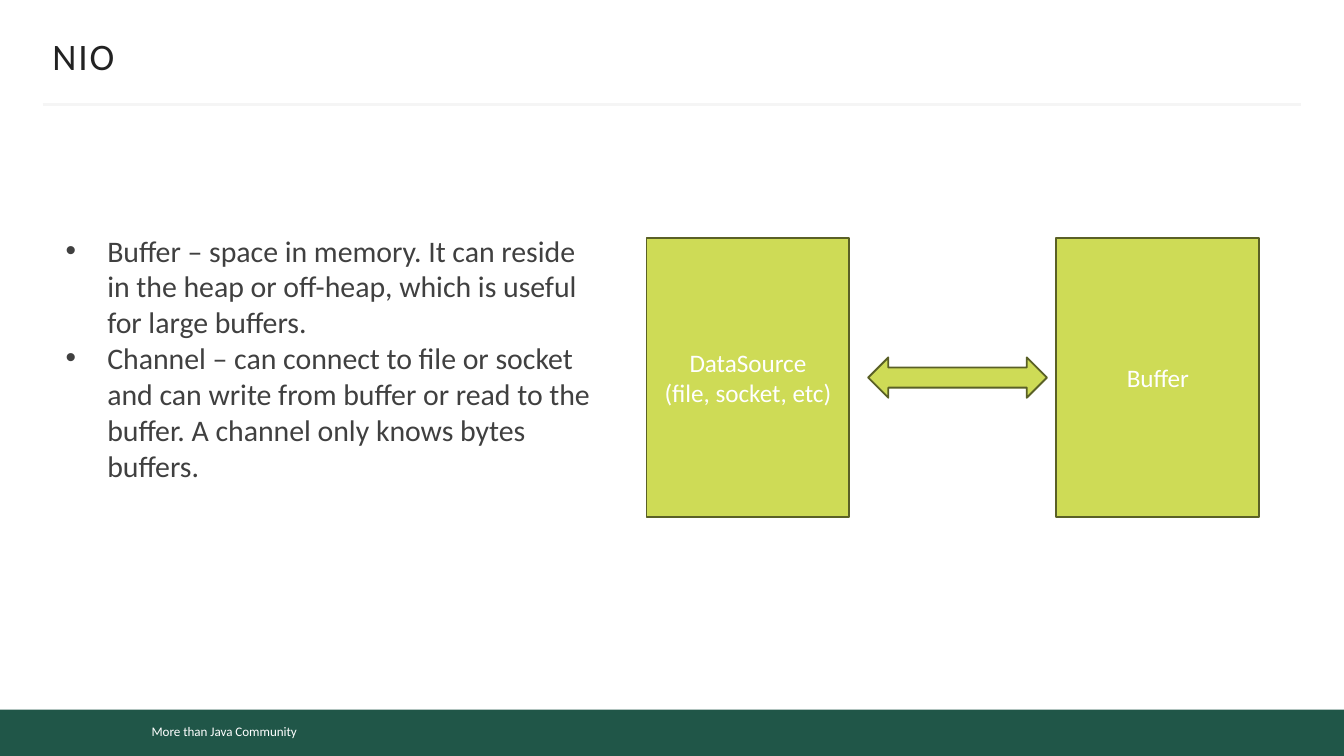
from dataclasses import dataclass

from lxml import etree
from pptx import Presentation
from pptx.dml.color import RGBColor
from pptx.enum import shapes as kinds, text as txt
from pptx.oxml import ns
from pptx.util import Inches, Pt

FONT = "Calibri"
GREEN, LIME, OLIVE = "205648", "CEDB56", "5A6026"
WHITE, RULE, TITLE_INK, BODY_INK = "FFFFFF", "F5F5F5", "222222", "404040"
RECT = kinds.MSO_SHAPE.RECTANGLE
BOX_TOP, BOX_WIDTH, BOX_HEIGHT = 1.77, 1.51, 2.08
BULLET_INDENT = 0.31


@dataclass
class Block:
    left: float
    top: float
    width: float
    height: float
    fill: str
    line: str = ""
    kind: kinds.MSO_SHAPE = RECT
    lines: tuple[str, ...] = ()
    size: float = 13.5
    align: txt.PP_ALIGN = txt.PP_ALIGN.CENTER


def rgb(value: str) -> RGBColor:
    return RGBColor.from_string(value)


def write(frame, lines: tuple[str, ...], size: float, color: str, align) -> None:
    """Put each line in its own paragraph, as one formatted run."""
    for index, line in enumerate(lines):
        paragraph = frame.paragraphs[0] if index == 0 else frame.add_paragraph()
        paragraph.alignment = align
        run = paragraph.add_run()
        run.text = line
        run.font.name = FONT
        run.font.size = Pt(size)
        run.font.color.rgb = rgb(color)


def add_block(slide, block: Block) -> None:
    shape = slide.shapes.add_shape(
        block.kind, Inches(block.left), Inches(block.top),
        Inches(block.width), Inches(block.height))
    shape.shadow.inherit = False
    shape.fill.solid()
    shape.fill.fore_color.rgb = rgb(block.fill)
    if block.line:
        shape.line.color.rgb = rgb(block.line)
        shape.line.width = Pt(1)
    else:
        shape.line.fill.background()
    if block.lines:
        frame = shape.text_frame
        frame.word_wrap = True
        frame.vertical_anchor = txt.MSO_ANCHOR.MIDDLE
        write(frame, block.lines, block.size, WHITE, block.align)


def add_rule(slide) -> None:
    rule = slide.shapes.add_connector(
        kinds.MSO_CONNECTOR.STRAIGHT,
        Inches(0.32), Inches(0.78), Inches(9.68), Inches(0.78))
    rule.line.color.rgb = rgb(RULE)
    rule.line.width = Pt(1.5)
    etree.SubElement(rule._element.spPr, ns.qn("a:effectLst"))


def set_title(slide, wording: str) -> None:
    title = slide.shapes.title
    title.left, title.top = Inches(0.39), Inches(0.25)
    title.width, title.height = Inches(9.22), Inches(0.33)
    frame = title.text_frame
    frame.margin_left = frame.margin_right = 0
    frame.auto_size = txt.MSO_AUTO_SIZE.NONE
    frame.vertical_anchor = txt.MSO_ANCHOR.MIDDLE
    write(frame, (wording,), 20, TITLE_INK, txt.PP_ALIGN.LEFT)
    frame.paragraphs[0].runs[0]._r.get_or_add_rPr().set("spc", "100")


def add_bullets(slide, points: tuple[str, ...]) -> None:
    body = slide.shapes.add_textbox(
        Inches(0.39), Inches(1.68), Inches(4.15), Inches(2.26))
    frame = body.text_frame
    frame.word_wrap = True
    write(frame, points, 16, BODY_INK, txt.PP_ALIGN.LEFT)
    for paragraph in frame.paragraphs:
        properties = paragraph._p.get_or_add_pPr()
        properties.set("marL", str(Inches(BULLET_INDENT)))
        properties.set("indent", str(-Inches(BULLET_INDENT)))
        etree.SubElement(properties, ns.qn("a:buFont"), typeface="Arial")
        etree.SubElement(properties, ns.qn("a:buChar"), char="•")


def main() -> None:
    deck = Presentation()
    deck.slide_width = Inches(10)
    deck.slide_height = deck.slide_width * 9 // 16
    slide = deck.slides.add_slide(deck.slide_layouts[5])

    footer = (
        Block(0, 5.28, 10, 0.35, GREEN),
        Block(1.03, 5.33, 2.65, 0.22, GREEN, lines=("More than Java Community",),
              size=7, align=txt.PP_ALIGN.LEFT),
    )
    endpoints = tuple(
        Block(left, BOX_TOP, BOX_WIDTH, BOX_HEIGHT, LIME, OLIVE, lines=lines)
        for left, lines in ((4.81, ("DataSource", "(file, socket, etc)")),
                            (7.86, ("Buffer",))))
    channel = Block(6.46, 2.66, 1.33, 0.3, LIME, OLIVE,
                    kind=kinds.MSO_SHAPE.LEFT_RIGHT_ARROW)

    for block in footer:
        add_block(slide, block)
    add_rule(slide)
    set_title(slide, "NIO")
    add_bullets(slide, (
        "Buffer – space in memory. It can reside in the heap or off-heap, "
        "which is useful for large buffers.",
        "Channel – can connect to file or socket and can write from buffer "
        "or read to the buffer. A channel only knows bytes buffers.",
    ))
    for block in (*endpoints, channel):
        add_block(slide, block)

    deck.save("out.pptx")


if __name__ == "__main__":
    main()
